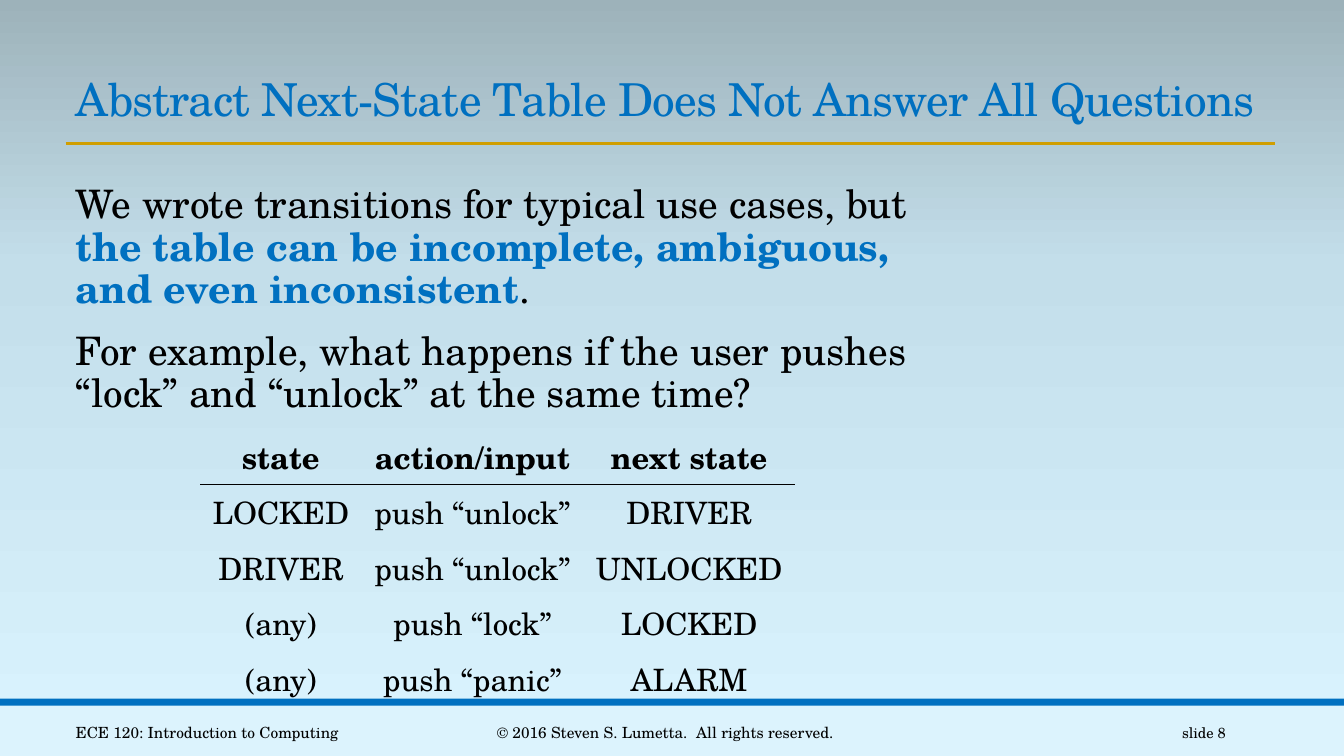
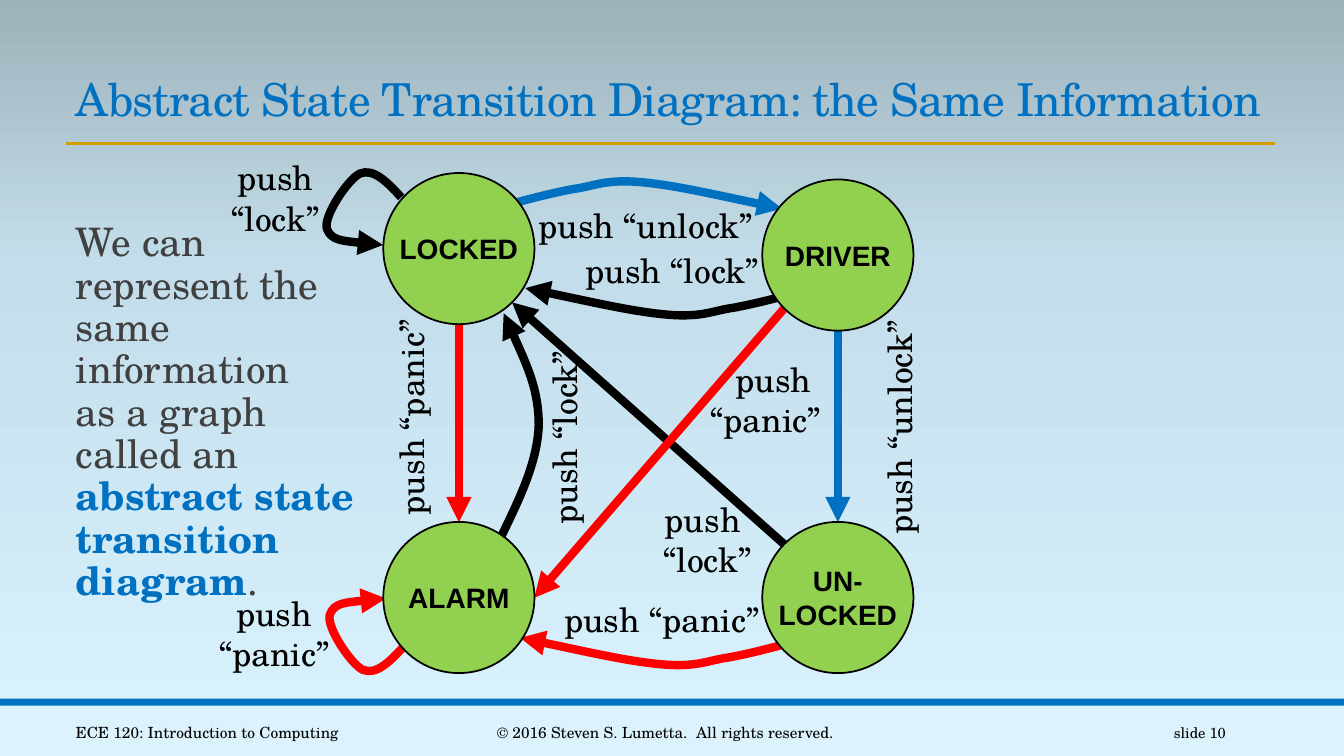
"""Build two lecture slides on the next-state table and state diagram of a car lock."""
from copy import deepcopy

from lxml.etree import SubElement
from pptx import Presentation
from pptx.dml.color import RGBColor
from pptx.enum.shapes import MSO_CONNECTOR, MSO_SHAPE
from pptx.enum.text import MSO_ANCHOR, MSO_AUTO_SIZE, PP_ALIGN
from pptx.oxml.ns import qn
from pptx.util import Pt

COLORS = {
    "black": "000000", "gray": "404040", "blue": "0070C0", "red": "FF0000",
    "gold": "D09E00", "green": "92D050", "footer": "DCF3FD",
    "low": "DAF4FF", "middle": "C3DEEA", "high": "9DB2BA",
}
SERIF = "TeX Gyre Schola"
WIDTH, HEIGHT = 960, 540
TITLE_BOX = (47, 42.5, 864.7, 51)
BODY_BOX = (47, 128.4, 613.5, 334)
NO_TABLE_STYLE = "{2D5ABB26-0587-4C30-8999-92F81FD0307C}"
TITLE_FONT = {"name": SERIF, "size": Pt(32.4)}
BODY_FONT = {"name": SERIF, "size": Pt(28)}
TABLE_FONT = {"name": SERIF, "size": Pt(22)}
LABEL_FONT = {"name": SERIF, "size": Pt(24)}
FOOTER_FONT = {"name": SERIF, "size": Pt(11)}
NUMBER_FONT = {"name": SERIF, "size": Pt(10.5)}
STATE_FONT = {"name": "Arial", "size": Pt(20), "bold": True}
BODY_PARA = {"line_spacing": 0.9, "space_after": Pt(2)}

ARC = [(15, -4), (30, -8), (46, -11), (61, -13), (68, -18),
       (93, -16), (117, -14), (156, -5), (195, 3)]
LOOP = [(-10, -11), (-20, -21), (-29.5, -17), (-38, -13), (-56, 14),
        (-53, 22.5), (-50, 31), (-32, 32.5), (-13, 34)]
BOW = [(13, -27), (26, -53), (27, -80), (27, -106), (14, -133), (2, -160)]

CURVES = [
    (ARC, (363.6, 146), (1, 1), "blue"),
    (ARC, (570.2, 208.8), (-1, -1), "black"),
    (ARC, (566.6, 458.6), (-1, -1), "red"),
    (LOOP, (286.6, 141), (1, 1), "black"),
    (LOOP, (288.7, 461.5), (1, -1), "red"),
    (BOW, (357.8, 383.8), (1, 1), "black"),
]
ARROWS = [
    ((598.5, 236), (598.5, 373), "blue"),
    ((327.8, 232), (327.8, 373), "red"),
    ((560.2, 388.8), (365.8, 216), "black"),
    ((560.2, 220.3), (381.6, 427), "red"),
]
LABELS = [
    ("push “unlock”", (462, 160.5), 169, 0, PP_ALIGN.LEFT),
    ("push “unlock”", (642.2, 304.6), 169, 270, PP_ALIGN.LEFT),
    ("push “lock”", (403.2, 311.8), 139.7, 270, PP_ALIGN.LEFT),
    ("push “lock”", (481, 193), 139.7, 0, PP_ALIGN.LEFT),
    ("push “panic”", (293.8, 297.4), 155.5, 270, PP_ALIGN.LEFT),
    ("push “panic”", (473.6, 442), 155.5, 0, PP_ALIGN.LEFT),
    ("push \n“lock”", (505.2, 385), 78.5, 0, PP_ALIGN.CENTER),
    ("push\n“lock”", (196.7, 141), 78.5, 0, PP_ALIGN.CENTER),
    ("push\n“panic”", (195.8, 452), 93.6, 0, PP_ALIGN.CENTER),
    ("push \n“panic”", (546.5, 285), 93.6, 0, PP_ALIGN.RIGHT),
]
STATES = [
    ("ALARM", (273.8, 372.8)), ("LOCKED", (273.8, 123.6)),
    ("DRIVER", (544.5, 128.2)), ("UN-\nLOCKED", (544.5, 372.8)),
]
TABLE_ROWS = [
    ("state", "action/input", "next state"),
    ("LOCKED", "push “unlock”", "DRIVER"),
    ("DRIVER", "push “unlock”", "UNLOCKED"),
    ("(any)", "push “lock”", "LOCKED"),
    ("(any)", "push “panic”", "ALARM"),
]


def rgb(color):
    """Return the named colour."""
    return RGBColor.from_string(COLORS[color])


def apply(target, values):
    """Set each attribute of the target from a dict."""
    for name, value in values.items():
        setattr(target, name, value)


def place(shape, box):
    """Move and size a shape, in points."""
    apply(shape, dict(zip(("left", "top", "width", "height"), map(Pt, box))))


def add_text(para, text, font, color="black"):
    """Add text to a paragraph, with a line break at each newline."""
    spans = []
    for number, line in enumerate(text.split("\n")):
        if number:
            para.add_line_break()
        if line:
            span = para.add_run()
            span.text = line
            apply(span.font, font)
            span.font.color.rgb = rgb(color)
            spans.append(span)
    return spans


def add_label(page, box, text, font, align=PP_ALIGN.LEFT, wrap=True):
    """Add a text box with one paragraph."""
    shape = page.shapes.add_textbox(*map(Pt, box))
    apply(shape.text_frame, {"word_wrap": wrap, "vertical_anchor": MSO_ANCHOR.MIDDLE})
    para = shape.text_frame.paragraphs[0]
    para.alignment = align
    add_text(para, text, font)
    return shape


def add_solid(page, kind, box, color):
    """Add a filled preset shape without outline."""
    shape = page.shapes.add_shape(kind, *map(Pt, box))
    shape.shadow.inherit = False
    shape.fill.solid()
    shape.fill.fore_color.rgb = rgb(color)
    shape.line.fill.background()
    return shape


def style_line(line, color, width, arrow=False):
    """Colour a line and give it an arrowhead if wanted."""
    line.color.rgb = rgb(color)
    line.width = Pt(width)
    if arrow:
        SubElement(line._get_or_add_ln(), qn("a:tailEnd"), type="triangle")


def add_line(page, start, end, color, width, arrow=False):
    """Add a straight connector."""
    line = page.shapes.add_connector(MSO_CONNECTOR.STRAIGHT, *map(Pt, start + end))
    style_line(line.line, color, width, arrow)
    SubElement(line.element.spPr, qn("a:effectLst"))


def bend(curve):
    """Turn each three straight segments of a freeform into one cubic curve."""
    segments = list(curve.element.iter(qn("a:lnTo")))
    outline = segments[0].getparent()
    for first in range(0, len(segments), 3):
        cubic = SubElement(outline, qn("a:cubicBezTo"))
        for segment in segments[first:first + 3]:
            cubic.append(segment[0])
            outline.remove(segment)


def add_curve(page, controls, start, flip, color):
    """Add a curved arrow whose control points are offsets from its start."""
    builder = page.shapes.build_freeform(*map(Pt, start))
    builder.add_line_segments(
        [tuple(Pt(s + f * d) for s, f, d in zip(start, flip, point))
         for point in controls], close=False)
    curve = builder.convert_to_shape()
    bend(curve)
    curve.shadow.inherit = False
    curve.fill.background()
    style_line(curve.line, color, 6, True)


def add_state(page, text, corner):
    """Add a state circle."""
    circle = add_solid(page, MSO_SHAPE.OVAL, corner + (108, 108), "green")
    style_line(circle.line, "black", 1.25)
    apply(circle.text_frame, {
        "word_wrap": False, "vertical_anchor": MSO_ANCHOR.MIDDLE, "margin_left": 0,
        "margin_right": 0, "margin_top": 0, "margin_bottom": 0})
    para = circle.text_frame.paragraphs[0]
    para.alignment = PP_ALIGN.CENTER
    add_text(para, text, STATE_FONT)


def set_background(master):
    """Give the master a three-colour vertical gradient."""
    fill = master.background.fill
    fill.gradient()
    fill.gradient_angle = 90
    stops = next(master.element.iter(qn("a:gsLst")))
    stops.append(deepcopy(stops[-1]))
    for stop, color, position in zip(fill.gradient_stops, ("low", "middle", "high"),
                                     (0, 0.65, 1)):
        stop.color.rgb = rgb(color)
        stop.position = position


def set_layout(deck, layout):
    """Set the background and the placeholder format."""
    set_background(deck.slide_master)
    title, body = layout.placeholders[0], layout.placeholders[1]
    place(title, TITLE_BOX)
    place(body, BODY_BOX)
    apply(title.text_frame, {"vertical_anchor": MSO_ANCHOR.BOTTOM,
                             "auto_size": MSO_AUTO_SIZE.NONE})
    apply(body.text_frame, {"margin_left": 0, "margin_right": 0,
                            "auto_size": MSO_AUTO_SIZE.NONE})


def add_bands(page):
    """Draw the bands and rule and move them to the layout of the page."""
    kept = len(page.shapes)
    add_solid(page, MSO_SHAPE.RECTANGLE, (0, 504, WIDTH, 36), "footer")
    add_solid(page, MSO_SHAPE.RECTANGLE, (0, 499, WIDTH, 5), "blue")
    add_line(page, (46.8, 102.5), (910.8, 102.5), "gold", 2)
    for shape in list(page.shapes)[kept:]:
        page.slide_layout.element.cSld.spTree.append(shape.element)


def add_page(deck, layout, title, number):
    """Add a slide with its title and footers."""
    page = deck.slides.add_slide(layout)
    para = page.shapes.title.text_frame.paragraphs[0]
    apply(para, {"alignment": PP_ALIGN.LEFT, "line_spacing": 0.85})
    for span in add_text(para, title, TITLE_FONT, "blue"):
        span.font._element.set("spc", "-50")
    for left, width, text, font, align in (
            (47, 234, "ECE 120: Introduction to Computing", FOOTER_FONT, PP_ALIGN.LEFT),
            (290.3, 370, "© 2016 Steven S. Lumetta.  All rights reserved.", FOOTER_FONT,
             PP_ALIGN.CENTER),
            (780, 102.7, f"slide {number}", NUMBER_FONT, PP_ALIGN.RIGHT)):
        add_label(page, (left, 508.6, width, 28.8), text, font, align)
    return page


def fill_body(page, paragraphs):
    """Fill the body; each paragraph is a list of text, colour and bold."""
    frame = page.placeholders[1].text_frame
    for number, parts in enumerate(paragraphs):
        para = frame.add_paragraph() if number else frame.paragraphs[0]
        properties = para._p.get_or_add_pPr()
        properties.set("marL", str(Pt(7.2)))
        properties.set("indent", "0")
        SubElement(properties, qn("a:buNone"))
        apply(para, {**BODY_PARA, "space_before": Pt(12 if number else 0)})
        for text, color, bold in parts:
            add_text(para, text, {**BODY_FONT, "bold": bold}, color)


def add_state_table(page):
    """Add the next-state table with a rule under its header."""
    widths, row_height = (115.2, 158.4, 151.2), 39.8
    frame = page.shapes.add_table(
        len(TABLE_ROWS), len(widths), Pt(143), Pt(306), Pt(sum(widths)),
        Pt(row_height * len(TABLE_ROWS)))
    next(frame.element.iter(qn("a:tableStyleId"))).text = NO_TABLE_STYLE
    table = frame.table
    apply(table, {"first_row": False, "horz_banding": False})
    for column, width in zip(table.columns, widths):
        column.width = Pt(width)
    for row, texts in enumerate(TABLE_ROWS):
        table.rows[row].height = Pt(row_height)
        for column, text in enumerate(texts):
            cell = table.cell(row, column)
            cell.vertical_anchor = MSO_ANCHOR.MIDDLE
            cell.fill.background()
            para = cell.text_frame.paragraphs[0]
            para.alignment = PP_ALIGN.CENTER
            add_text(para, text, {**TABLE_FONT, "bold": row == 0})
            if row == 0:
                properties = cell._tc.get_or_add_tcPr()
                border = SubElement(properties, qn("a:lnB"), w=str(Pt(1)))
                paint = SubElement(border, qn("a:solidFill"))
                SubElement(paint, qn("a:srgbClr"), val=COLORS["black"])
                properties.insert(0, border)


def add_diagram(page):
    """Add the state transition diagram."""
    for curve in CURVES:
        add_curve(page, *curve)
    for start, end, color in ARROWS:
        add_line(page, start, end, color, 6, True)
    for text, (x, y), width, turn, align in LABELS:
        height = 65.5 if "\n" in text else 36
        box = (x - width / 2, y - height / 2, width, height)
        add_label(page, box, text, LABEL_FONT, align, wrap=False).rotation = turn
    for text, corner in STATES:
        add_state(page, text, corner)


def main():
    """Build and save the deck."""
    deck = Presentation()
    apply(deck, {"slide_width": Pt(WIDTH), "slide_height": Pt(HEIGHT)})
    layout = deck.slide_layouts[1]
    set_layout(deck, layout)

    page = add_page(deck, layout, "Abstract Next-State Table Does Not Answer All Questions", 8)
    add_bands(page)
    fill_body(page, [
        [("We wrote transitions for typical use cases, but ", "black", False),
         ("the table can be incomplete, ambiguous, and even inconsistent", "blue", True),
         (".", "black", False)],
        [("For example, what happens if the user pushes “lock” and “unlock” "
          "at the same time?", "black", False)]])
    add_state_table(page)

    page = add_page(deck, layout, "Abstract State Transition Diagram: the Same Information", 10)
    place(page.placeholders[1], (47, 155.6, 613.5, 306.8))
    fill_body(page, [
        [("We can \nrepresent the\nsame \ninformation \nas a graph \ncalled an \n", "gray", False),
         ("abstract state \ntransition \ndiagram", "blue", True), (".", "gray", False)]])
    add_diagram(page)
    deck.save("out.pptx")


if __name__ == "__main__":
    main()
